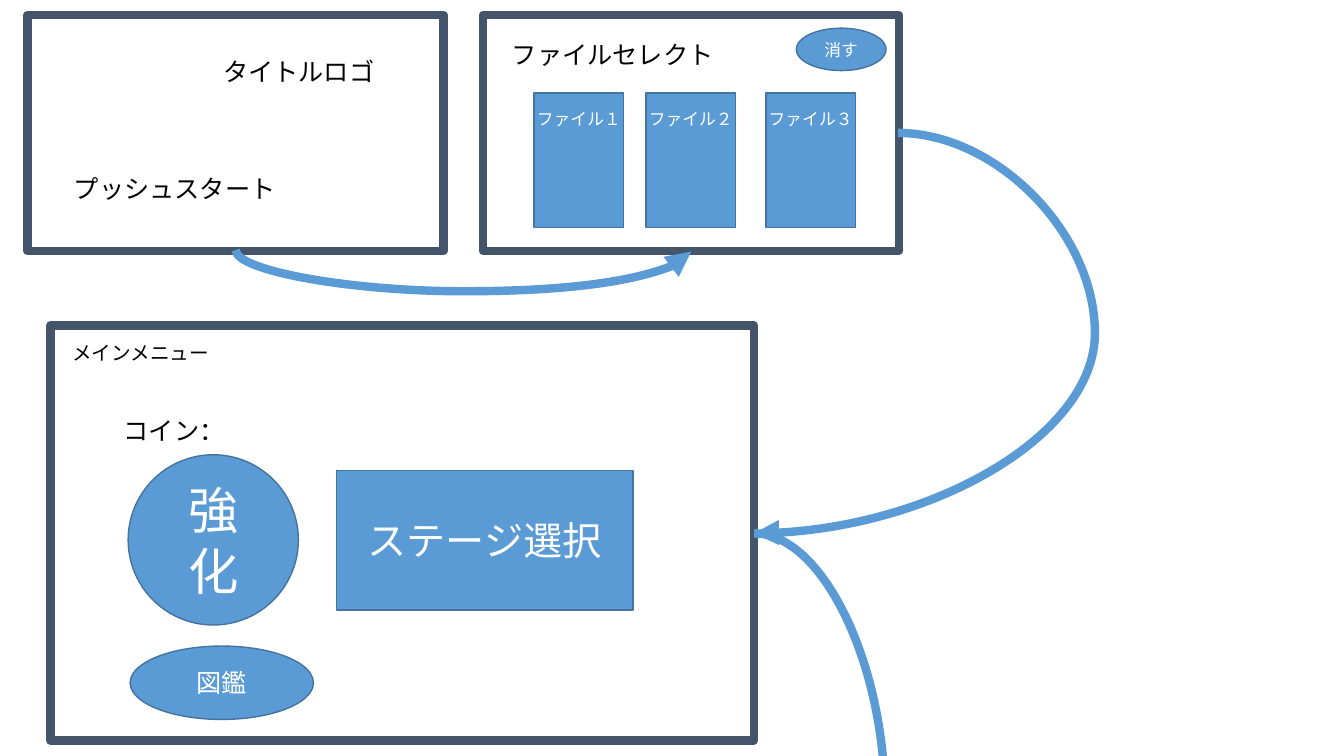
from lxml import etree
from pptx import Presentation
from pptx import util as u
from pptx.dml.color import RGBColor
from pptx.enum import shapes, text
from pptx.oxml.ns import qn

THEME = {
    "font": "Noto Sans CJK JP",
    "white": "FFFFFF", "black": "000000", "frame": "44546A",
    "blue": "5B9BD5", "edge": "43739E",
    "small": 12, "label": 14, "body": 18, "large": 28, "huge": 36,
    "thick": 6, "thin": 1,
}
RECT, OVAL = shapes.MSO_SHAPE.RECTANGLE, shapes.MSO_SHAPE.OVAL
CENTER, LEFT = text.PP_ALIGN.CENTER, text.PP_ALIGN.LEFT

prs = Presentation()
prs.slide_width, prs.slide_height = u.Cm(33.87), u.Cm(19.05)
s = prs.slides.add_slide(prs.slide_layouts[6])


def write(box, words=None, kind=None, size="body", color="black", align=CENTER,
          fill="blue", line="edge", width="thin"):
    """Add a text box, or a filled shape when kind is given, with its text."""
    box = [u.Cm(v) for v in box]
    if kind is None:
        sp = s.shapes.add_textbox(*box)
    else:
        sp = s.shapes.add_shape(kind, *box)
        sp.shadow.inherit = False
        sp.fill.solid()
        sp.fill.fore_color.rgb = RGBColor.from_string(THEME[fill])
        sp.line.color.rgb = RGBColor.from_string(THEME[line])
        sp.line.width = u.Pt(THEME[width])
    if words:
        tf = sp.text_frame
        tf.word_wrap = True
        if kind is None:
            tf.auto_size = text.MSO_AUTO_SIZE.SHAPE_TO_FIT_TEXT
        else:
            tf.vertical_anchor = text.MSO_ANCHOR.MIDDLE
        p = tf.paragraphs[0]
        p.alignment = align
        r = p.add_run()
        r.text = words
        r.font.size = u.Pt(THEME[size])
        r.font.name = THEME["font"]
        r.font.color.rgb = RGBColor.from_string(THEME[color])
        ea = etree.SubElement(r.font._element, qn("a:ea"))
        ea.set("typeface", THEME["font"])


def curve(start, end, preset, bend=None, turn=None):
    """Add a curved arrow; bend is the guide value, turn the rotation in degrees."""
    cxn = s.shapes.add_connector(shapes.MSO_CONNECTOR.CURVE,
                                 *[u.Cm(v) for v in start + end])
    cxn.line.color.rgb = RGBColor.from_string(THEME["blue"])
    cxn.line.width = u.Pt(THEME["thick"])
    etree.SubElement(cxn.line._get_or_add_ln(), qn("a:tailEnd")).set("type", "triangle")
    props = cxn._element.spPr
    etree.SubElement(props, qn("a:effectLst"))
    geom = props.find(qn("a:prstGeom"))
    geom.set("prst", preset)
    if bend is not None:
        guide = etree.SubElement(geom.find(qn("a:avLst")), qn("a:gd"))
        guide.set("name", "adj1")
        guide.set("fmla", f"val {bend}")
    if turn:
        props.find(qn("a:xfrm")).set("rot", str(turn * 60000))


frame = dict(kind=RECT, fill="white", line="frame", width="thick")

# Title and file select screens
for x in (0.69, 12.17):
    write((x, 0.38, 10.49, 5.94), **frame)

# Arrow from title to file select, a tall narrow curve turned on its side
curve((11.7, 0.58), (11.66, 12.06), "curvedConnector3", bend=2600000, turn=270)

# Title screen text
write((3.4, 1.3, 8.26, 1.02), "タイトルロゴ")
write((0.91, 4.24, 6.99, 1.02), "プッシュスタート")

# File select content
write((20.07, 0.71, 2.26, 1.07), "消す", kind=OVAL, size="small", color="white")
for x, digit in zip((13.46, 16.28, 19.3), "１２３"):
    write((x, 2.34, 2.26, 3.4), kind=RECT)
    write((x - 0.33, 2.62, 2.92, 0.76), "ファイル" + digit, size="small", color="white")
write((12.65, 0.86, 6.35, 1.02), "ファイルセレクト", align=LEFT)

# Arrow from file select to main menu
curve((22.63, 3.35), (19, 13.44), "curvedConnector3", bend=-136800)

# Main menu screen
write((1.27, 8.2, 17.73, 10.46), **frame)
write((0.69, 8.46, 5.72, 0.86), "メインメニュー", size="label")
for box, words, kind, size in (
    ((3.28, 16.28, 4.62, 1.85), "図鑑", OVAL, "body"),
    ((3.23, 11.46, 4.29, 4.29), "強化", OVAL, "huge"),
    ((8.48, 11.86, 7.47, 3.51), "ステージ選択", RECT, "large"),
):
    write(box, words, kind=kind, size=size, color="white")
write((2.87, 10.34, 3.84, 1.02), "コイン：", align=LEFT)

# Arrow leaving the main menu downwards
curve((19, 13.44), (22.3, 20.09), "curvedConnector2")

prs.save("out.pptx")
